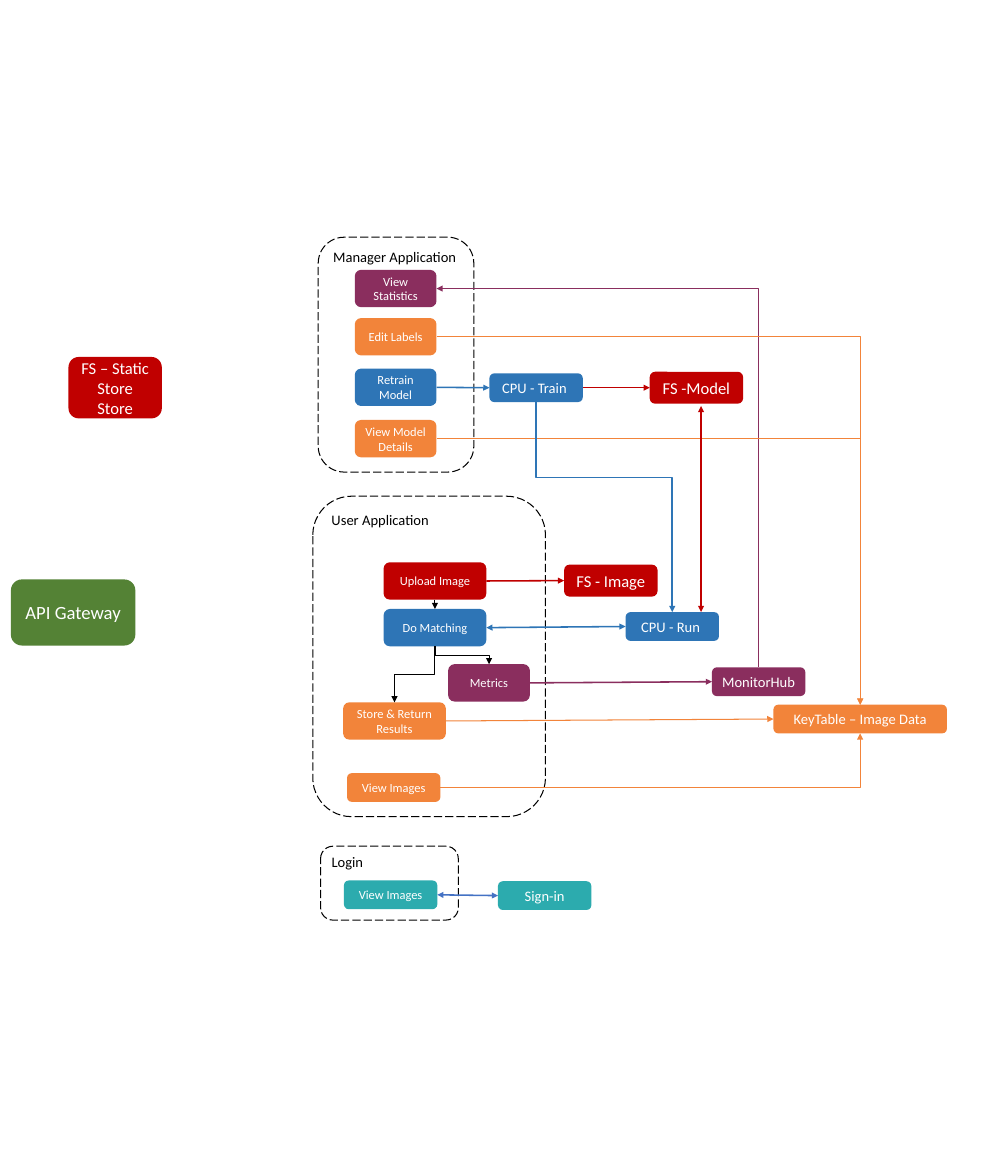
from lxml import etree
from pptx import Presentation
from pptx import util as u
from pptx.dml.color import RGBColor
from pptx.enum import dml, shapes, text
from pptx.oxml.ns import qn

PX = 9525  # 96 px to the inch
SLIDE_WIDTH, SLIDE_HEIGHT = 1280, 1512
FONT = "Calibri"
GREEN, RED, BLUE, PURPLE = "548235", "C00000", "2E75B6", "8A2E5E"
ORANGE, TEAL, INDIGO, BLACK, WHITE = "F2843A", "2CABAE", "4472C4", "000000", "FFFFFF"

# title, left, top, width, height
FRAMES = [
    ("Manager Application", 409, 305, 200, 302),
    ("User Application", 402, 638, 299, 412),
    ("Login", 412, 1088, 177, 95),
]

# key: label, left, top, width, height, fill, font size
BOXES = {
    "gateway": ("API Gateway", 14, 745, 160, 85, GREEN, 18),
    "static": ("FS – Static Store Store", 88, 459, 120, 79, RED, 16),
    "statistics": ("View Statistics", 456, 347, 105, 48, PURPLE, 12),
    "labels": ("Edit Labels", 456, 409, 105, 48, ORANGE, 12),
    "retrain": ("Retrain Model", 456, 474, 105, 48, BLUE, 12),
    "details": ("View Model Details", 456, 540, 105, 48, ORANGE, 12),
    "train": ("CPU - Train ", 629, 480, 120, 37, BLUE, 14),
    "model": ("FS -Model", 835, 478, 120, 41, RED, 16),
    "upload": ("Upload Image", 493, 723, 132, 48, RED, 12),
    "matching": ("Do Matching", 493, 783, 132, 48, BLUE, 12),
    "metrics": ("Metrics", 576, 854, 105, 48, PURPLE, 12),
    "results": ("Store & Return Results", 441, 903, 132, 48, ORANGE, 12),
    "images": ("View Images", 446, 994, 120, 37, ORANGE, 12),
    "image store": ("FS - Image", 725, 726, 120, 41, RED, 16),
    "run": ("CPU - Run ", 804, 787, 120, 37, BLUE, 14),
    "monitor": ("MonitorHub", 915, 858, 120, 37, PURPLE, 14),
    "database": ("KeyTable – Image Data", 994, 906, 223, 37, ORANGE, 14),
    "login images": ("View Images", 442, 1132, 120, 37, TEAL, 12),
    "sign-in": ("Sign-in", 640, 1133, 120, 37, TEAL, 14),
}

TOP, LEFT, BOTTOM, RIGHT = range(4)  # connection sites of a rounded rectangle
END, START, BOTH = ("tailEnd",), ("headEnd",), ("headEnd", "tailEnd")

# from box, side, to box, side, colour, width, arrowheads
STRAIGHT = [
    ("upload", RIGHT, "image store", LEFT, RED, 1.5, END),
    ("upload", BOTTOM, "matching", TOP, BLACK, 1, END),
    ("matching", RIGHT, "run", LEFT, BLUE, 1.5, BOTH),
    ("metrics", RIGHT, "monitor", LEFT, PURPLE, 1.5, END),
    ("results", RIGHT, "database", LEFT, ORANGE, 1, END),
    ("retrain", RIGHT, "train", LEFT, BLUE, 1.5, END),
    ("train", RIGHT, "model", LEFT, RED, 1.5, END),
    ("login images", RIGHT, "sign-in", LEFT, INDIGO, 1.5, BOTH),
]
CORNERS = [
    ("statistics", RIGHT, "monitor", TOP, PURPLE, 1.5, START),
    ("labels", RIGHT, "database", TOP, ORANGE, 1, END),
    ("details", RIGHT, "database", TOP, ORANGE, 1, END),
    ("images", RIGHT, "database", BOTTOM, ORANGE, 1, END),
]
# from box, to box, colour, width, share of the drop before the bend in 1/1000
STEPS = [
    ("matching", "metrics", BLACK, 1, 500),
    ("matching", "results", BLACK, 1, 500),
    ("train", "run", BLUE, 1.5, 359),
]
MODEL_TO_RUN = ((901, 522), (901, 787))

presentation = Presentation()
presentation.slide_width = SLIDE_WIDTH * PX
presentation.slide_height = SLIDE_HEIGHT * PX
slide = presentation.slides.add_slide(presentation.slide_layouts[6])


def rgb(value):
    return RGBColor.from_string(value)


def add_rounded(label, left, top, width, height, size, colour):
    shape = slide.shapes.add_shape(
        shapes.MSO_SHAPE.ROUNDED_RECTANGLE, left * PX, top * PX, width * PX, height * PX)
    shape.shadow.inherit = False
    frame = shape.text_frame
    frame.text = label
    frame.word_wrap = True
    font = frame.paragraphs[0].runs[0].font
    font.name, font.size = FONT, u.Pt(size)
    font.color.rgb = rgb(colour)
    return shape


def add_frame(title, *place):
    shape = add_rounded(title, *place, 14, BLACK)
    shape.fill.background()
    shape.line.color.rgb = rgb(BLACK)
    shape.line.width = u.Pt(1)
    shape.line.dash_style = dml.MSO_LINE.LONG_DASH
    shape.text_frame.vertical_anchor = text.MSO_ANCHOR.TOP
    shape.text_frame.paragraphs[0].alignment = text.PP_ALIGN.LEFT


def add_box(label, left, top, width, height, fill, size):
    shape = add_rounded(label, left, top, width, height, size, WHITE)
    shape.fill.solid()
    shape.fill.fore_color.rgb = rgb(fill)
    shape.line.fill.background()
    shape.text_frame.vertical_anchor = text.MSO_ANCHOR.MIDDLE
    shape.text_frame.paragraphs[0].alignment = text.PP_ALIGN.CENTER
    return shape


def site(key, side):
    """Middle of one side of a box, in px."""
    _, left, top, width, height, _, _ = BOXES[key]
    across, down = {TOP: (1, 0), LEFT: (0, 1), BOTTOM: (1, 2), RIGHT: (2, 1)}[side]
    return left + across * width / 2, top + down * height / 2


def add_line(start, end, colour, width, heads, kind=shapes.MSO_CONNECTOR.STRAIGHT):
    points = [round(value * PX) for value in (*start, *end)]
    connector = slide.shapes.add_connector(kind, *points)
    connector.line.color.rgb = rgb(colour)
    connector.line.width = u.Pt(width)
    line = connector.line._get_or_add_ln()
    for head in heads:
        etree.SubElement(line, qn("a:" + head), type="triangle")
    etree.SubElement(connector._element.spPr, qn("a:effectLst"))
    return connector


def add_corner(start, end, colour, width, heads):
    """Line that runs across, then turns once."""
    connector = add_line(start, end, colour, width, heads, shapes.MSO_CONNECTOR.ELBOW)
    connector._element.spPr.find(qn("a:prstGeom")).set("prst", "bentConnector2")


def add_step(start, end, colour, width, bend):
    """Line that runs down, across and down again: an elbow on its side."""
    (x1, y1), (x2, y2) = start, end
    across, drop = abs(x2 - x1), y2 - y1
    left, top = (x1 + x2 - drop) / 2, (y1 + y2 - across) / 2
    connector = add_line((left, top), (left + drop, top + across),
                         colour, width, END, shapes.MSO_CONNECTOR.ELBOW)
    properties = connector._element.spPr
    transform = properties.find(qn("a:xfrm"))
    transform.set("rot", str((270 if x2 > x1 else 90) * 60000))
    if x2 > x1:
        transform.set("flipH", "1")
    geometry = properties.find(qn("a:prstGeom"))
    adjustments = geometry.find(qn("a:avLst"))
    if adjustments is None:
        adjustments = etree.SubElement(geometry, qn("a:avLst"))
    etree.SubElement(adjustments, qn("a:gd"), name="adj1", fmla=f"val {bend * 100}")


for frame_row in FRAMES:
    add_frame(*frame_row)
boxes = {key: add_box(*row) for key, row in BOXES.items()}

for source, out_side, target, in_side, *style in STRAIGHT:
    connector = add_line(site(source, out_side), site(target, in_side), *style)
    connector.begin_connect(boxes[source], out_side)
    connector.end_connect(boxes[target], in_side)
for source, out_side, target, in_side, *style in CORNERS:
    add_corner(site(source, out_side), site(target, in_side), *style)
for source, target, *style in STEPS:
    add_step(site(source, BOTTOM), site(target, TOP), *style)
add_line(*MODEL_TO_RUN, RED, 1.5, BOTH)

presentation.save("out.pptx")
